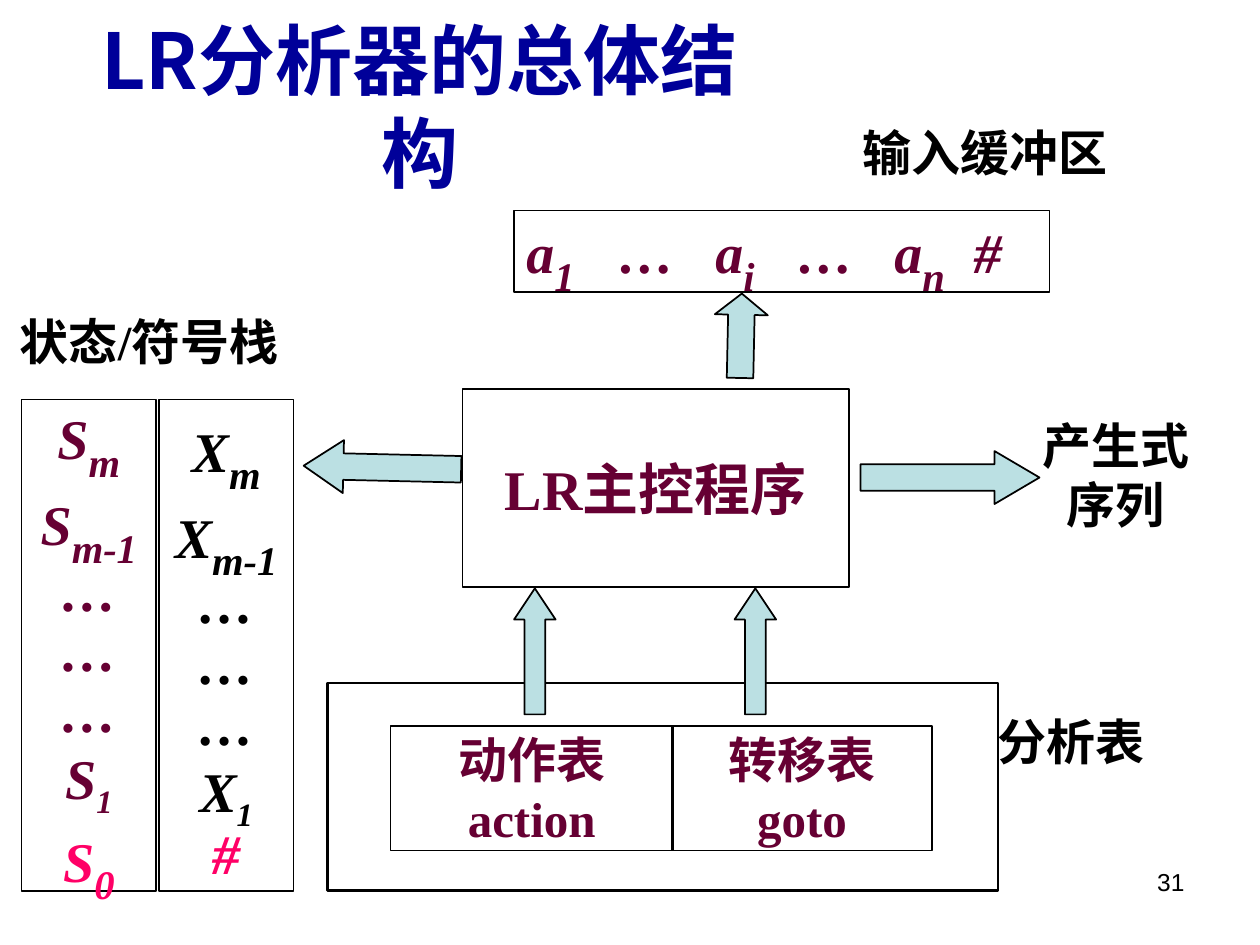
import pptx
import pptx.util
import pptx.dml.color
import pptx.enum.shapes
import pptx.enum.text
import pptx.oxml.ns
from lxml import etree

Inches, Pt = pptx.util.Inches, pptx.util.Pt
SHAPE = pptx.enum.shapes.MSO_SHAPE
ALIGN = pptx.enum.text.PP_ALIGN
ANCHOR = pptx.enum.text.MSO_ANCHOR
rgb = pptx.dml.color.RGBColor.from_string
CJK, SERIF = "Noto Sans CJK JP", "Times New Roman"
WINE, BLACK, PINK = "660033", "000000", "FF0066"


def write(s, paras, size, color, font=SERIF, bold=True, italic=False,
          align=ALIGN.CENTER, anchor=ANCHOR.MIDDLE, wrap=False, spacing=None):
    """Each paragraph is a list of (text, format changes) runs."""
    tf = s.text_frame
    frame = {"word_wrap": wrap, "vertical_anchor": anchor,
             "auto_size": pptx.enum.text.MSO_AUTO_SIZE.NONE}
    for name, value in frame.items():
        setattr(tf, name, value)
    for i, runs in enumerate(paras):
        p = tf.paragraphs[0] if i == 0 else tf.add_paragraph()
        p.alignment, p.line_spacing = align, spacing
        for text, changes in runs:
            r = p.add_run()
            r.text = text
            fmt = {"size": size, "color": color, "sub": False} | changes
            font_values = {"name": font, "size": Pt(fmt["size"]),
                           "bold": bold, "italic": italic}
            for name, value in font_values.items():
                setattr(r.font, name, value)
            r.font.color.rgb = rgb(fmt["color"])
            r_pr = r.font._element
            if fmt["sub"]:
                r_pr.set("baseline", "-25000")
            latin = r_pr.find(pptx.oxml.ns.qn("a:latin"))
            ea = etree.Element(pptx.oxml.ns.qn("a:ea"), typeface=CJK)
            latin.addnext(ea)


def add_shape(kind, x, y, w, h, fill=None, weight=1):
    s = slide.shapes.add_shape(kind, Inches(x), Inches(y), Inches(w), Inches(h))
    s.shadow.inherit = False
    if fill:
        s.fill.solid()
        s.fill.fore_color.rgb = rgb(fill)
    else:
        s.fill.background()
    s.line.color.rgb = rgb(BLACK)
    s.line.width = Pt(weight)
    return s


prs = pptx.Presentation()
prs.slide_width, prs.slide_height = Inches(10), Inches(7.5)
slide = prs.slides.add_slide(prs.slide_layouts[5])
sub = {"size": 40, "sub": True}
small_sub = {"sub": True}

# Title
title = slide.shapes.title
place = {"left": 0.33, "top": 0.42, "width": 6, "height": 0.83}
for name, value in place.items():
    setattr(title, name, Inches(value))
title.text_frame.margin_left = title.text_frame.margin_right = Inches(0.2)
write(title, [[("LR分析器的总体结构", {})]], 44, "000099", font=CJK, wrap=True)

# Input buffer, its symbols set on tab stops
buffer = add_shape(SHAPE.RECTANGLE, 4.08, 1.67, 4.25, 0.65)
p_pr = buffer.text_frame.paragraphs[0]._p.get_or_add_pPr()
tabs = etree.SubElement(p_pr, pptx.oxml.ns.qn("a:tabLst"))
for stop in (0.73, 1.5, 2.15, 2.92, 3.55):
    etree.SubElement(tabs, pptx.oxml.ns.qn("a:tab"), pos=str(Inches(stop)), algn="l")
write(buffer, [[("a", {}), ("1", sub), ("\t…\ta", {}), ("i", sub),
                ("\t…\ta", {}), ("n", sub), ("\t#", {})]],
      32, WINE, italic=True, align=ALIGN.LEFT, wrap=True)

# Control program and the two tables
boxes = [
    (3.67, 3.09, 3.07, 1.57, 32, ["LR主控程序"]),
    (3.1, 5.76, 2.24, 0.99, 28, ["动作表", "action"]),
    (5.33, 5.76, 2.07, 0.99, 28, ["转移表", "goto"]),
]
for x, y, w, h, size, lines in boxes:
    s = add_shape(SHAPE.RECTANGLE, x, y, w, h)
    write(s, [[(line, {})] for line in lines], size, WINE)

# Frame around the parsing table
add_shape(SHAPE.RECTANGLE, 2.6, 5.42, 5.32, 1.65, weight=1.5)

# Labels
labels = [
    (8.17, 3.25, 1.37, 1.04, ALIGN.CENTER, ["产生式", "序列"]),
    (0.06, 2.42, 2.44, 0.57, ALIGN.LEFT, ["状态/符号栈"]),
    (6.75, 0.92, 2.14, 0.57, ALIGN.LEFT, ["输入缓冲区"]),
    (7.82, 5.6, 1.37, 0.57, ALIGN.LEFT, ["分析表"]),
]
for x, y, w, h, align, lines in labels:
    s = slide.shapes.add_textbox(Inches(x), Inches(y), Inches(w), Inches(h))
    write(s, [[(line, {})] for line in lines], 28, BLACK,
          align=align, anchor=ANCHOR.TOP)

# State and symbol stacks
stacks = [
    (0.17, "S", WINE, [("S", {"color": PINK}), ("0", sub | {"color": PINK})]),
    (1.26, "X", BLACK, [("#", {"color": PINK})]),
]
for x, letter, color, bottom in stacks:
    s = add_shape(SHAPE.RECTANGLE, x, 3.17, 1.07, 3.9)
    rows = [[(letter, {}), (index, sub)] for index in ("m", "m-1")]
    rows += [[("…", {})]] * 3
    rows += [[(letter, {}), ("1", small_sub)], bottom]
    write(s, rows, 32, color, italic=True, spacing=0.9)

# Block arrows
arrows = [
    (SHAPE.RIGHT_ARROW, 2.41, 3.5, 1.25, 0.42, 181.3, 0.75),
    (SHAPE.DOWN_ARROW, 5.67, 2.33, 0.42, 0.67, 181.2, 0.4),
    (SHAPE.UP_ARROW, 4.08, 4.67, 0.33, 1, 0, 0.75),
    (SHAPE.UP_ARROW, 5.83, 4.67, 0.33, 1, 0, 0.75),
    (SHAPE.RIGHT_ARROW, 6.83, 3.58, 1.42, 0.42, 0, 0.85),
]
for kind, x, y, w, h, turn, head in arrows:
    s = add_shape(kind, x, y, w, h, fill="BBE0E3")
    s.rotation = turn
    s.adjustments[0], s.adjustments[1] = 0.5, head

# Slide number
s = slide.shapes.add_textbox(Inches(7.17), Inches(6.83), Inches(2.33), Inches(0.52))
write(s, [[("31", {})]], 14, BLACK, font="Arial", bold=False,
      align=ALIGN.RIGHT, anchor=ANCHOR.TOP, wrap=True)

prs.save("out.pptx")
